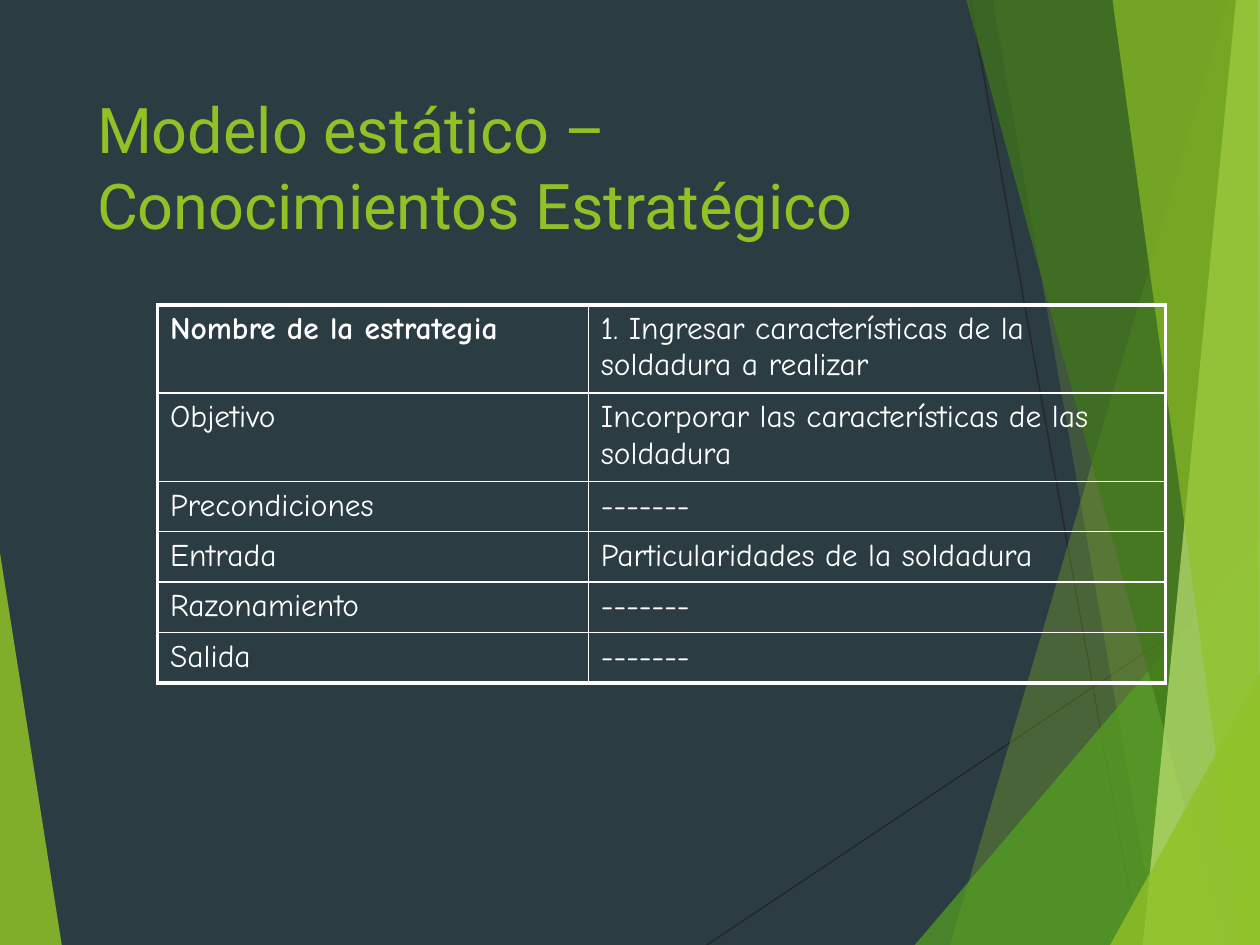
from dataclasses import dataclass

from lxml.etree import SubElement
from pptx import Presentation
from pptx.dml.color import RGBColor
from pptx.enum.shapes import MSO_CONNECTOR
from pptx.enum.text import MSO_ANCHOR, PP_ALIGN
from pptx.oxml import parse_xml
from pptx.oxml.ns import nsdecls, qn
from pptx.util import Inches, Pt


@dataclass(frozen=True)
class Theme:
    background: str = "2C3C43"
    lime: str = "90C226"
    green: str = "54A021"
    forest: str = "3F7819"
    pale: str = "C0E474"
    ray: str = "262626"
    text: str = "FFFFFF"
    title_font: str = "Roboto"
    body_font: str = "Comic Neue"
    title_size: int = 36
    body_size: int = 18
    ray_width: float = 0.75
    inner_border: float = 1
    outer_border: float = 2.25


THEME = Theme()
WIDTH, HEIGHT = 10, 7.5

TITLE = "Modelo estático – Conocimientos Estratégico"
TITLE_BOX = (0.67, 0.67, 6.94, 1.44)

STRATEGY = [
    ("Nombre de la estrategia", "1. Ingresar características de la soldadura a realizar"),
    ("Objetivo", "Incorporar las características de las soldadura"),
    ("Precondiciones", "-------"),
    ("Entrada", "Particularidades de la soldadura"),
    ("Razonamiento", "-------"),
    ("Salida", "-------"),
]
TABLE_ORIGIN = (1.25, 2.42)
COLUMN_WIDTHS = (3.42, 4.58)
ROW_HEIGHTS = (0.7, 0.7, 0.4, 0.4, 0.4, 0.4)

RAYS = [((5.61, HEIGHT), (WIDTH, 4.57)), ((7.7, 0), (9.04, HEIGHT))]
FACETS = [
    (THEME.lime, 85, [(0, 4.39), (0.49, HEIGHT), (0, HEIGHT)]),
    (THEME.lime, 30, [(9.75, 0), (7.54, HEIGHT), (WIDTH, HEIGHT), (WIDTH, 0)]),
    (THEME.lime, 20, [(7.88, 0), (9.19, HEIGHT), (WIDTH, HEIGHT), (WIDTH, 0)]),
    (THEME.green, 72, [(7.26, HEIGHT), (WIDTH, 4.29), (WIDTH, HEIGHT)]),
    (THEME.forest, 70, [(7.67, 0), (9.7, HEIGHT), (WIDTH, HEIGHT), (WIDTH, 0)]),
    (THEME.pale, 70, [(9.81, 0), (9.07, HEIGHT), (WIDTH, HEIGHT), (WIDTH, 0)]),
    (THEME.lime, 65, [(8.83, 0), (9.86, HEIGHT), (WIDTH, HEIGHT), (9.98, 0)]),
    (THEME.lime, 80, [(8.81, HEIGHT), (WIDTH, 5.35), (WIDTH, HEIGHT)]),
]


def rgb(color):
    return RGBColor.from_string(color)


def inches(values):
    return [Inches(value) for value in values]


def fill_solid(fill, color, opacity, holder):
    fill.solid()
    fill.fore_color.rgb = rgb(color)
    tint = holder.find(qn("a:solidFill"))[0]
    SubElement(tint, qn("a:alpha"), val=str(opacity * 1000))


def style_font(font, name, size, color, bold=False):
    font.name, font.size, font.bold = name, Pt(size), bold
    font.color.rgb = rgb(color)


def add_ray(shapes, start, end):
    ray = shapes.add_connector(MSO_CONNECTOR.STRAIGHT, *inches(start + end))
    ray.line.color.rgb = rgb(THEME.ray)
    ray.line.width = Pt(THEME.ray_width)
    SubElement(ray.element.spPr, qn("a:effectLst"))


def add_facet(shapes, color, opacity, corners):
    first, *others = [inches(corner) for corner in corners]
    outline = shapes.build_freeform(*first)
    outline.add_line_segments(others, close=True)
    facet = outline.convert_to_shape()
    facet.shadow.inherit = False
    fill_solid(facet.fill, color, opacity, facet.element.spPr)
    facet.line.fill.background()


def set_borders(properties, outer_sides):
    for position, side in enumerate("LRTB"):
        width = THEME.outer_border if side in outer_sides else THEME.inner_border
        border = parse_xml(
            f'<a:ln{side} {nsdecls("a")} w="{Pt(width)}"><a:solidFill>'
            f'<a:srgbClr val="{THEME.text}"/></a:solidFill></a:ln{side}>'
        )
        properties.insert(position, border)


def add_strategy_table(shapes):
    size = (sum(COLUMN_WIDTHS), sum(ROW_HEIGHTS))
    table = shapes.add_table(
        len(STRATEGY), len(COLUMN_WIDTHS), *inches(TABLE_ORIGIN + size)
    ).table
    table.first_row = table.horz_banding = False
    for column, width in zip(table.columns, COLUMN_WIDTHS):
        column.width = Inches(width)
    for row, height in zip(table.rows, ROW_HEIGHTS):
        row.height = Inches(height)
    last = len(STRATEGY) - 1
    for r, entry in enumerate(STRATEGY):
        for c, wording in enumerate(entry):
            cell = table.cell(r, c)
            cell.text = wording
            style_font(cell.text_frame.paragraphs[0].font, THEME.body_font,
                       THEME.body_size, THEME.text, bold=r == c == 0)
            properties = cell._tc.get_or_add_tcPr()
            if c == 0:
                fill_solid(cell.fill, THEME.background, 50, properties)
            else:
                cell.fill.background()
            outer_sides = "LR"[c] + ("T" if r == 0 else "B" if r == last else "")
            set_borders(properties, outer_sides)


def place_title(title):
    title.left, title.top, title.width, title.height = inches(TITLE_BOX)
    frame = title.text_frame
    frame.text = TITLE
    frame.word_wrap = True
    frame.vertical_anchor = MSO_ANCHOR.TOP
    heading = frame.paragraphs[0]
    heading.alignment = PP_ALIGN.LEFT
    style_font(heading.font, THEME.title_font, THEME.title_size, THEME.lime)


def main():
    deck = Presentation()
    deck.slide_width, deck.slide_height = inches((WIDTH, HEIGHT))
    slide = deck.slides.add_slide(deck.slide_layouts.get_by_name("Title Only"))
    slide.background.fill.solid()
    slide.background.fill.fore_color.rgb = rgb(THEME.background)
    place_title(slide.shapes.title)
    for ray in RAYS:
        add_ray(slide.shapes, *ray)
    for facet in FACETS:
        add_facet(slide.shapes, *facet)
    add_strategy_table(slide.shapes)
    deck.save("out.pptx")


if __name__ == "__main__":
    main()
